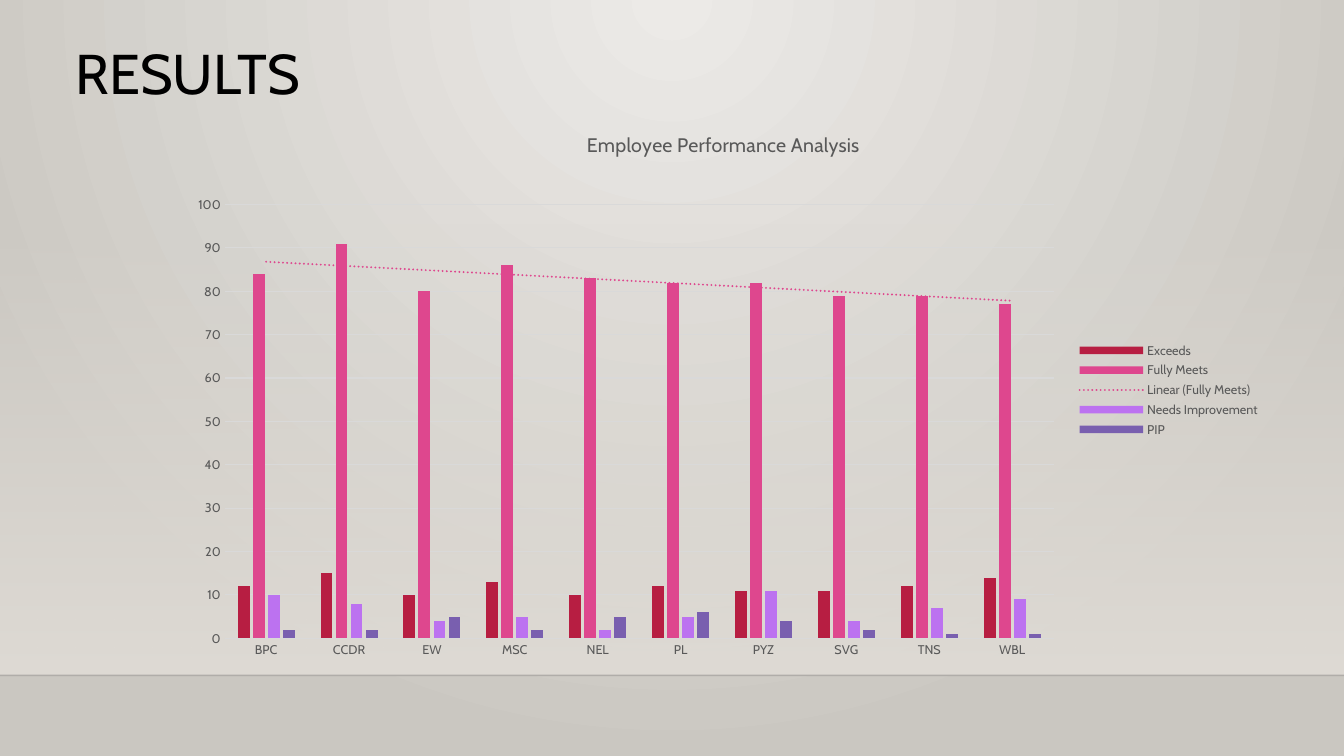
from dataclasses import dataclass

from lxml import etree
from pptx import Presentation
from pptx.chart.data import CategoryChartData
from pptx.dml.color import RGBColor
from pptx.enum.chart import XL_CHART_TYPE, XL_LEGEND_POSITION, XL_TICK_MARK
from pptx.enum.dml import MSO_LINE
from pptx.enum.shapes import MSO_CONNECTOR, MSO_SHAPE
from pptx.enum.text import MSO_AUTO_SIZE
from pptx.oxml import parse_xml
from pptx.oxml.ns import nsdecls, qn
from pptx.util import Cm, Pt

CLUSTERED = XL_CHART_TYPE.COLUMN_CLUSTERED
LEGEND_RIGHT = XL_LEGEND_POSITION.RIGHT
NO_TICK = XL_TICK_MARK.NONE
SOLID = MSO_LINE.SOLID
STRAIGHT = MSO_CONNECTOR.STRAIGHT
RECTANGLE = MSO_SHAPE.RECTANGLE
GROW = MSO_AUTO_SIZE.SHAPE_TO_FIT_TEXT

FONT = "Cabin"
BLACK = RGBColor(0x00, 0x00, 0x00)
FLOOR_LINE = RGBColor(0x00, 0x00, 0x01)
GREY_TEXT = RGBColor(0x59, 0x59, 0x59)
GREY_GRID = RGBColor(0xD9, 0xD9, 0xD9)
GLOW = RGBColor(0xEC, 0xEA, 0xE7)
EDGE = RGBColor(0xCA, 0xC7, 0xC1)
WALL = RGBColor(0xDF, 0xDB, 0xD5)
CRIMSON = RGBColor(0xB7, 0x1E, 0x42)
PINK = RGBColor(0xDE, 0x47, 0x8E)
LILAC = RGBColor(0xBC, 0x72, 0xF0)
PURPLE = RGBColor(0x79, 0x5F, 0xAF)

SLIDE_WIDTH, SLIDE_HEIGHT = Cm(33.87), Cm(19.05)
WALL_TOP, FLOOR_TOP = Cm(5.61), Cm(17.02)


@dataclass(frozen=True)
class Rating:
    name: str
    counts: tuple[int, ...]
    color: RGBColor
    trend: bool = False


TEAMS = ("BPC", "CCDR", "EW", "MSC", "NEL", "PL", "PYZ", "SVG", "TNS", "WBL")
RATINGS = (
    Rating("Exceeds", (12, 15, 10, 13, 10, 12, 11, 11, 12, 14), CRIMSON),
    Rating("Fully Meets", (84, 91, 80, 86, 83, 82, 82, 79, 79, 77), PINK, trend=True),
    Rating("Needs Improvement", (10, 8, 4, 5, 2, 5, 11, 4, 7, 9), LILAC),
    Rating("PIP", (2, 2, 5, 2, 5, 6, 4, 2, 1, 1), PURPLE),
)
# Inner plot area, in percent of the chart frame
PLOT_AREA = {"x": 4.4, "y": 16.8, "w": 75.8, "h": 77.7}


def style_font(font, size: float, color: RGBColor) -> None:
    font.name = FONT
    font.size = Pt(size)
    font.bold = False
    font.color.rgb = color


def set_opacity(color_element, percent: int) -> None:
    alpha = etree.SubElement(color_element, qn("a:alpha"))
    alpha.set("val", str(percent * 1000))


def set_gradient(fill, first: RGBColor, last: RGBColor) -> None:
    fill.gradient()
    for stop, color, position in zip(fill.gradient_stops, (first, last), (0, 1)):
        stop.color.rgb = color
        stop.position = position


def draw_background(page) -> None:
    # Round glow from the top centre
    set_gradient(page.background.fill, GLOW, EDGE)
    linear = page.element.find(".//" + qn("a:lin"))
    linear.getparent().replace(linear, parse_xml(
        f'<a:path {nsdecls("a")} path="circle">'
        '<a:fillToRect l="43000" t="0" r="43000" b="100000"/></a:path>'))

    # Wall that fades in downwards
    wall = page.shapes.add_shape(RECTANGLE, 0, WALL_TOP, SLIDE_WIDTH, FLOOR_TOP - WALL_TOP)
    wall.shadow.inherit = False
    wall.line.fill.background()
    set_gradient(wall.fill, WALL, WALL)
    wall.fill.gradient_angle = 270
    set_opacity(wall.element.spPr.find(".//" + qn("a:srgbClr")), 0)

    # Floor edge
    edge = page.shapes.add_connector(STRAIGHT, 0, FLOOR_TOP, SLIDE_WIDTH, FLOOR_TOP)
    edge.line.width = Pt(1)
    edge.line.color.rgb = FLOOR_LINE
    edge.line.dash_style = SOLID
    properties = edge.element.spPr
    set_opacity(properties.find(".//" + qn("a:srgbClr")), 20)
    etree.SubElement(properties, qn("a:effectLst"))


def add_trendline(series, color: RGBColor) -> None:
    trendline = parse_xml(
        f'<c:trendline {nsdecls("c", "a")}><c:spPr><a:ln w="{Pt(1.5)}" cap="rnd">'
        f'<a:solidFill><a:srgbClr val="{color}"/></a:solidFill><a:prstDash val="sysDot"/>'
        '</a:ln></c:spPr><c:trendlineType val="linear"/>'
        '<c:dispRSqr val="0"/><c:dispEq val="0"/></c:trendline>')
    series._element.find(qn("c:cat")).addprevious(trendline)


def place_plot(chart) -> None:
    plot_area = chart._chartSpace.find(".//" + qn("c:plotArea"))
    for old_layout in plot_area.findall(qn("c:layout")):
        plot_area.remove(old_layout)
    modes = "".join(f'<c:{side}Mode val="edge"/>' for side in "xy")
    sizes = "".join(f'<c:{key} val="{value / 100:.3f}"/>' for key, value in PLOT_AREA.items())
    plot_area.insert(0, parse_xml(
        f'<c:layout {nsdecls("c")}><c:manualLayout><c:layoutTarget val="inner"/>'
        f'{modes}{sizes}</c:manualLayout></c:layout>'))


def draw_chart(page) -> None:
    data = CategoryChartData()
    data.categories = TEAMS
    for rating in RATINGS:
        data.add_series(rating.name, rating.counts)
    chart = page.shapes.add_chart(
        CLUSTERED, Cm(4.45), Cm(2.79), Cm(27.56), Cm(14.07), data).chart
    style_font(chart.font, 10, BLACK)

    # Title and legend
    chart.has_title = True
    span = chart.chart_title.text_frame.paragraphs[0].add_run()
    span.text = "Employee Performance Analysis"
    style_font(span.font, 14, GREY_TEXT)
    chart.chart_title.include_in_layout = False
    chart.has_legend = True
    chart.legend.position = LEGEND_RIGHT
    chart.legend.include_in_layout = False
    style_font(chart.legend.font, 9, GREY_TEXT)

    # Axes
    teams, counts = chart.category_axis, chart.value_axis
    for axis in (teams, counts):
        axis.major_tick_mark = axis.minor_tick_mark = NO_TICK
        style_font(axis.tick_labels.font, 9, GREY_TEXT)
    counts.minimum_scale, counts.maximum_scale, counts.major_unit = 0, 100, 10
    counts.format.line.fill.background()
    for line in (teams.format.line, counts.major_gridlines.format.line):
        line.color.rgb = GREY_GRID
        line.width = Pt(0.75)

    # Columns
    plot = chart.plots[0]
    plot.gap_width, plot.overlap = 219, -27
    plot.vary_by_categories = False
    for series, rating in zip(plot.series, RATINGS):
        series.format.fill.solid()
        series.format.fill.fore_color.rgb = rating.color
        if rating.trend:
            add_trendline(series, rating.color)
    place_plot(chart)


def draw_heading(page) -> None:
    box = page.shapes.add_textbox(Cm(1.65), Cm(0.84), Cm(16.92), Cm(1.96))
    box.text_frame.word_wrap = True
    box.text_frame.auto_size = GROW
    span = box.text_frame.paragraphs[0].add_run()
    span.text = "RESULTS"
    style_font(span.font, 40, BLACK)


def main() -> None:
    deck = Presentation()
    deck.slide_width, deck.slide_height = SLIDE_WIDTH, SLIDE_HEIGHT
    page = deck.slides.add_slide(deck.slide_layouts[6])
    draw_background(page)
    draw_chart(page)
    draw_heading(page)
    deck.save("out.pptx")


if __name__ == "__main__":
    main()
